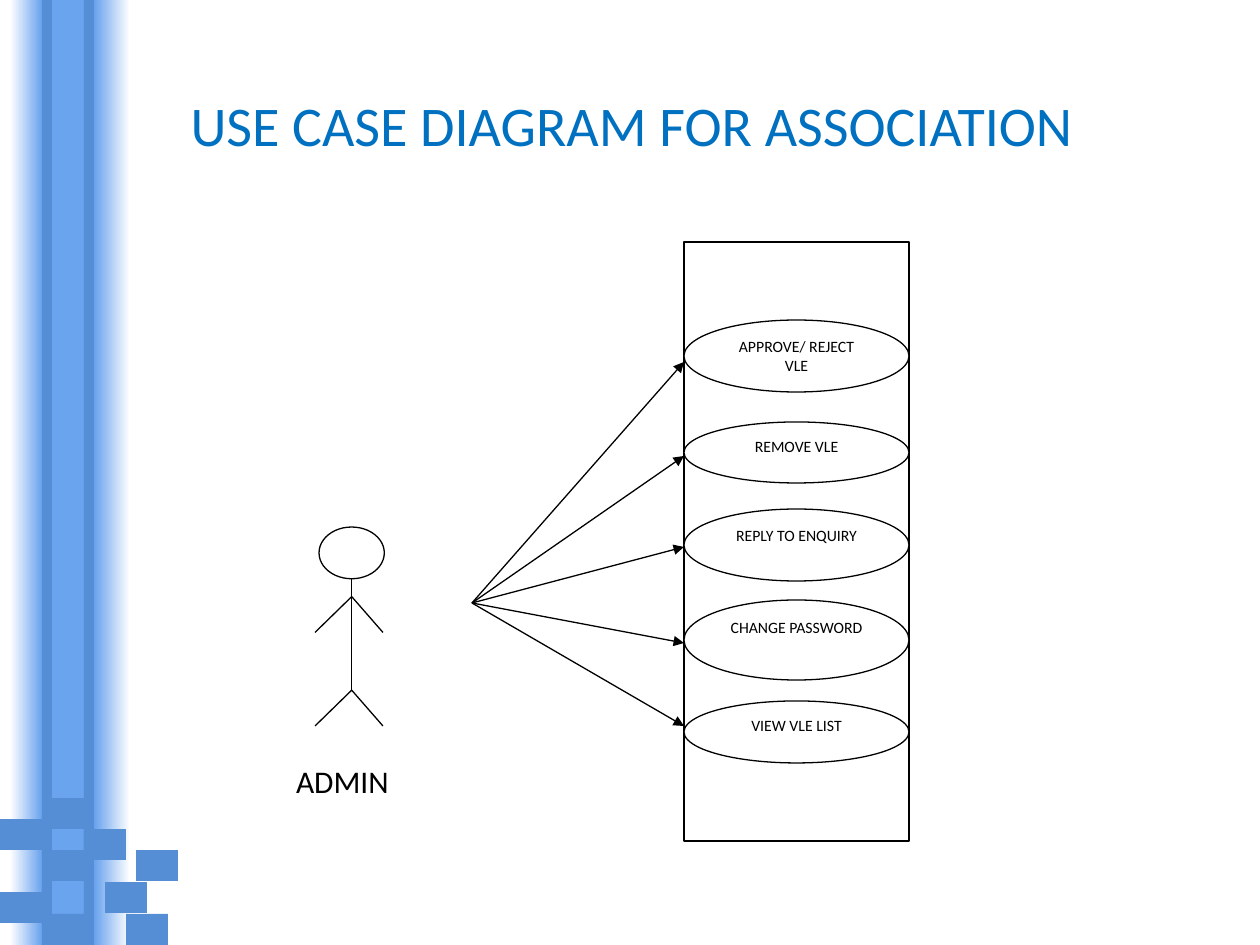
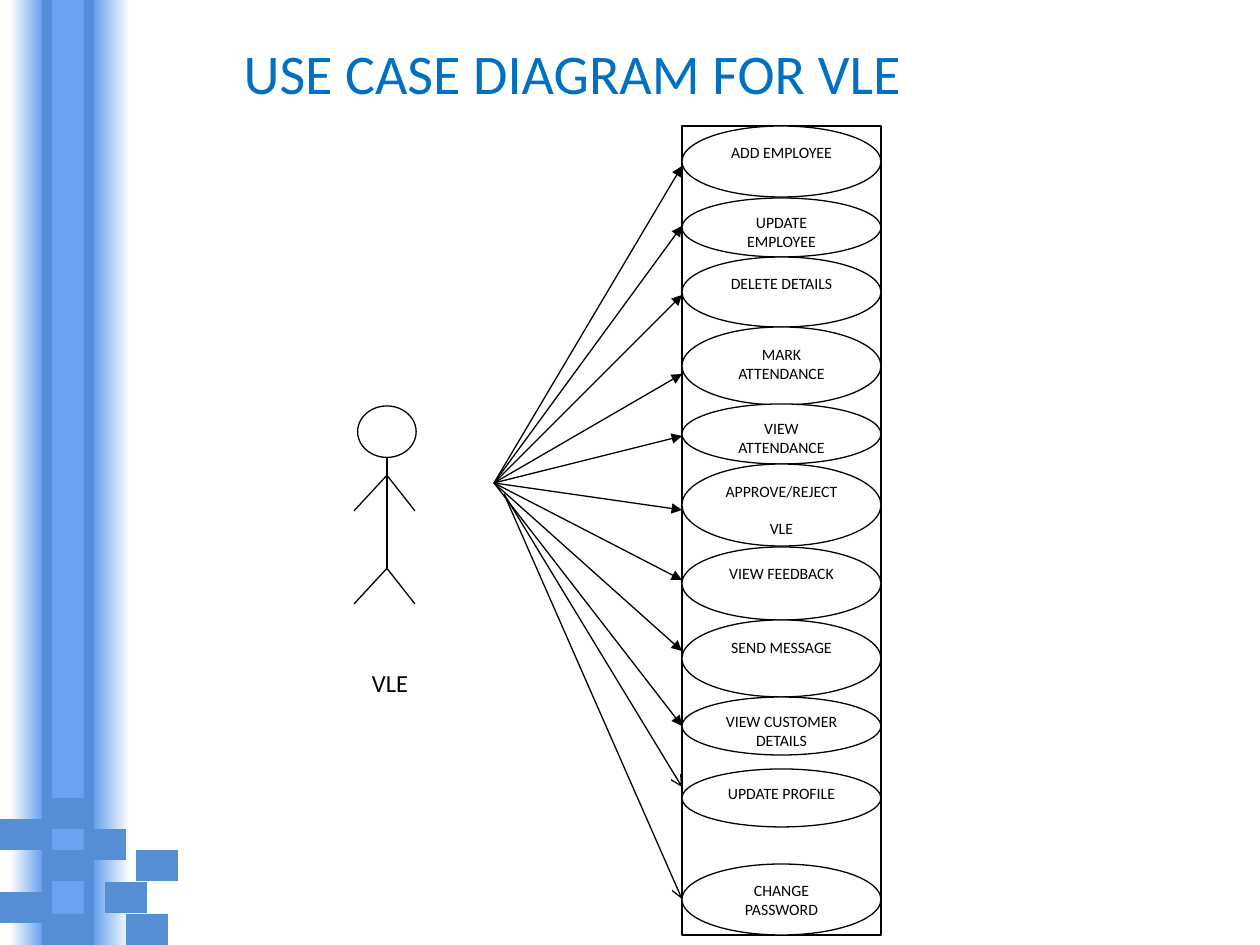
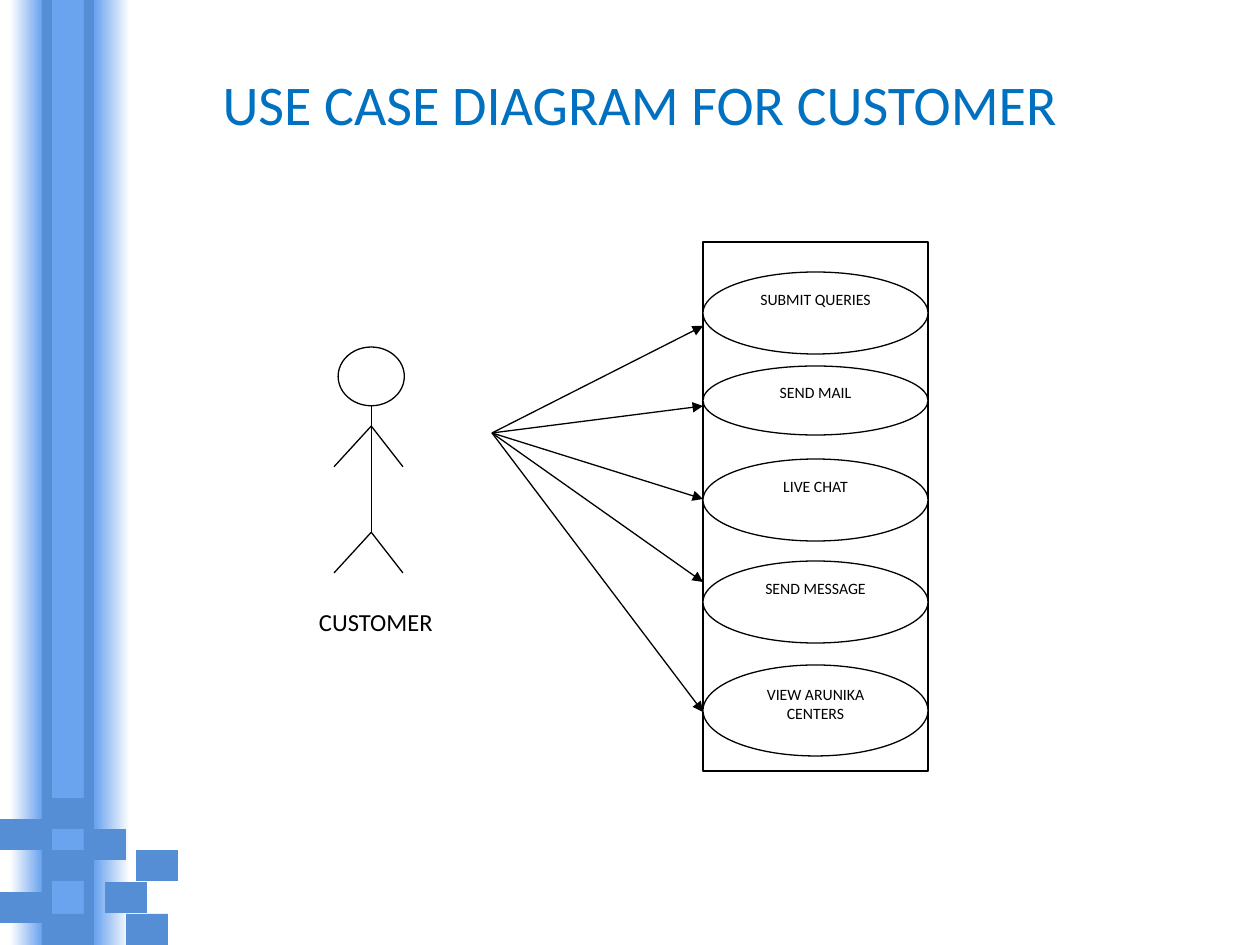
from lxml import etree
from pptx import Presentation
from pptx.dml.color import RGBColor
from pptx.enum.shapes import MSO_CONNECTOR, MSO_SHAPE
from pptx.enum.text import MSO_ANCHOR, MSO_AUTO_SIZE, PP_ALIGN
from pptx.oxml.ns import qn
from pptx.util import Pt

RECT, OVAL = MSO_SHAPE.RECTANGLE, MSO_SHAPE.OVAL
STRAIGHT = MSO_CONNECTOR.STRAIGHT
LEFT, CENTER, TOP = PP_ALIGN.LEFT, PP_ALIGN.CENTER, MSO_ANCHOR.TOP

FONT = "Calibri"
COLORS = {"title": "0070C0", "band": "558ED5", "glow": "6AA3EE",
          "ink": "000000", "paper": "FFFFFF"}
SLIDE_W, SLIDE_H = 1260, 945
TITLE_W, TITLE_H = 1029, 158
TITLE_ONLY = 5

# Decoration: fades (left, width, from, to), stripes and loose blocks
FADES = [(10, 32, "paper", "glow"), (42, 53, "glow", "glow"), (95, 35, "glow", "paper")]
STRIPES = [42, 84]
BLOCKS = [(0, 819), (42, 798), (84, 829), (42, 850), (0, 892),
          (136, 850), (126, 914), (42, 914), (105, 882)]

# Boxes are left, top, width, height
# Cases are text, top, height, arrow end; heights count from the top of the system box
SLIDES = [
    {"title": ("USE CASE DIAGRAM FOR ASSOCIATION", 178, 84),
     "actor": (315, 527, 68, 199),
     "label": ("ADMIN", (283, 756, 142, 50), 18, 13),
     "system": (684, 242, 225, 599),
     "hub": (472, 603),
     "cases": [("APPROVE/ REJECT VLE", 78, 72, 120),
               ("REMOVE VLE", 180, 61, 214),
               ("REPLY TO ENQUIRY", 267, 72, 305),
               ("CHANGE PASSWORD", 358, 80, 401),
               ("VIEW VLE LIST", 459, 62, 484)]},
    {"title": ("USE CASE DIAGRAM FOR VLE", 231, 32),
     "actor": (354, 406, 61, 198),
     "label": ("VLE", (315, 662, 179, 57), 14, 57),
     "system": (682, 126, 199, 809),
     "hub": (494, 483),
     "cases": [("ADD EMPLOYEE", 0, 71, 40),
               ("UPDATE EMPLOYEE", 72, 59, 100),
               ("DELETE DETAILS", 131, 70, 169),
               ("MARK ATTENDANCE", 201, 78, 248),
               ("VIEW ATTENDANCE", 278, 60, 310),
               ("APPROVE/REJECT\nVLE", 338, 82, 384),
               ("VIEW FEEDBACK", 421, 73, 454),
               ("SEND MESSAGE", 494, 77, 525),
               ("VIEW CUSTOMER DETAILS", 571, 58, 600)],
     "late_hub": (504, 494),
     "late_cases": [("UPDATE PROFILE", 643, 58, 661),
                    ("CHANGE PASSWORD", 738, 71, 773)]},
    {"title": ("USE CASE DIAGRAM FOR CUSTOMER", 210, 63),
     "actor": (334, 347, 69, 226),
     "label": ("CUSTOMER", (262, 601, 202, 64), 14, 57),
     "system": (703, 242, 225, 529),
     "hub": (492, 433),
     "cases": [("SUBMIT QUERIES", 30, 82, 84),
               ("SEND MAIL", 124, 69, 164),
               ("LIVE CHAT", 217, 82, 257),
               ("SEND MESSAGE", 319, 82, 340),
               ("VIEW ARUNIKA CENTERS", 423, 91, 470)]},
]


def px(n):
    return round(n * 914400 / 126)


def rgb(name):
    return RGBColor.from_string(COLORS[name])


def add_box(slide, kind, box, fill, line=None):
    s = slide.shapes.add_shape(kind, *map(px, box))
    s.shadow.inherit = False
    s.fill.solid()
    s.fill.fore_color.rgb = rgb(fill)
    if line:
        s.line.color.rgb = rgb(line)
        s.line.width = Pt(0.75)
    else:
        s.line.fill.background()
    return s


def add_line(slide, start, end, head=None):
    c = slide.shapes.add_connector(STRAIGHT, *map(px, start + end))
    c.line.color.rgb = rgb("ink")
    c.line.width = Pt(0.75)
    sp_pr = c.element.spPr
    if head:
        etree.SubElement(sp_pr.find(qn("a:ln")), qn("a:tailEnd"), type=head)
    etree.SubElement(sp_pr, qn("a:effectLst"))


def write(shape, text, size, color="ink", align=LEFT, after=0):
    tf = shape.text_frame
    tf.word_wrap = True
    tf.vertical_anchor = TOP
    for i, words in enumerate(text.split("\n")):
        p = tf.add_paragraph() if i else tf.paragraphs[0]
        p.alignment = align
        p.space_after = Pt(after)
        r = p.add_run()
        r.text = words
        r.font.name = FONT
        r.font.size = Pt(size)
        r.font.color.rgb = rgb(color)
    return tf


def decorate_layout(layout, slide):
    """Draw the left band on a slide, then move it to the shared layout."""
    parts = []
    for left, width, first, last in FADES:
        s = add_box(slide, RECT, (left, 0, width, SLIDE_H), first)
        if first != last:
            s.fill.gradient()
            s.fill.gradient_angle = 0
            for stop, name in zip(s.fill.gradient_stops, (first, last)):
                stop.color.rgb = rgb(name)
        parts.append(s)
    for left in STRIPES:
        parts.append(add_box(slide, RECT, (left, 0, 10, SLIDE_H), "band"))
    for left, top in BLOCKS:
        parts.append(add_box(slide, RECT, (left, top, 42, 31), "band"))
    for s in parts:
        layout.shapes.element.append(s.element)


def add_title(slide, text, left, top):
    s = slide.shapes.title
    s.left, s.top, s.width, s.height = map(px, (left, top, TITLE_W, TITLE_H))
    write(s, text, 32, "title").auto_size = MSO_AUTO_SIZE.NONE


def add_actor(slide, box):
    left, top, width, height = box
    right, spine = left + width, left + 0.54 * width
    neck, shoulder, hand, hip = (top + f * height for f in (0.26, 0.35, 0.53, 0.82))
    head_w = 0.96 * width
    add_box(slide, OVAL, (spine - head_w / 2, top, head_w, neck - top), "paper", "ink")
    add_line(slide, (spine, neck), (spine, hip))
    for joint, tip in ((shoulder, hand), (hip, top + height)):
        for side in (left, right):
            add_line(slide, (spine, joint), (side, tip))


def add_label(slide, text, box, size, inset):
    s = slide.shapes.add_textbox(*map(px, box))
    write(s, text, size).margin_left = px(inset)


def add_cases(slide, system, hub, cases, head):
    left, top, width, _ = system
    for text, offset, height, arrow_y in cases:
        s = add_box(slide, OVAL, (left, top + offset, width, height), "paper", "ink")
        write(s, text, 9, align=CENTER, after=10)
        add_line(slide, hub, (left, top + arrow_y), head)


def build_use_case_slide(slide, data):
    add_title(slide, *data["title"])
    add_actor(slide, data["actor"])
    add_label(slide, *data["label"])
    system = data["system"]
    add_box(slide, RECT, system, "paper", "ink")
    add_cases(slide, system, data["hub"], data["cases"], "triangle")
    if "late_cases" in data:
        add_cases(slide, system, data["late_hub"], data["late_cases"], "arrow")


def main():
    prs = Presentation()
    prs.slide_width, prs.slide_height = px(SLIDE_W), px(SLIDE_H)
    layout = prs.slide_layouts[TITLE_ONLY]
    for i, data in enumerate(SLIDES):
        slide = prs.slides.add_slide(layout)
        if i == 0:
            decorate_layout(layout, slide)
        build_use_case_slide(slide, data)
    prs.save("out.pptx")


if __name__ == "__main__":
    main()
